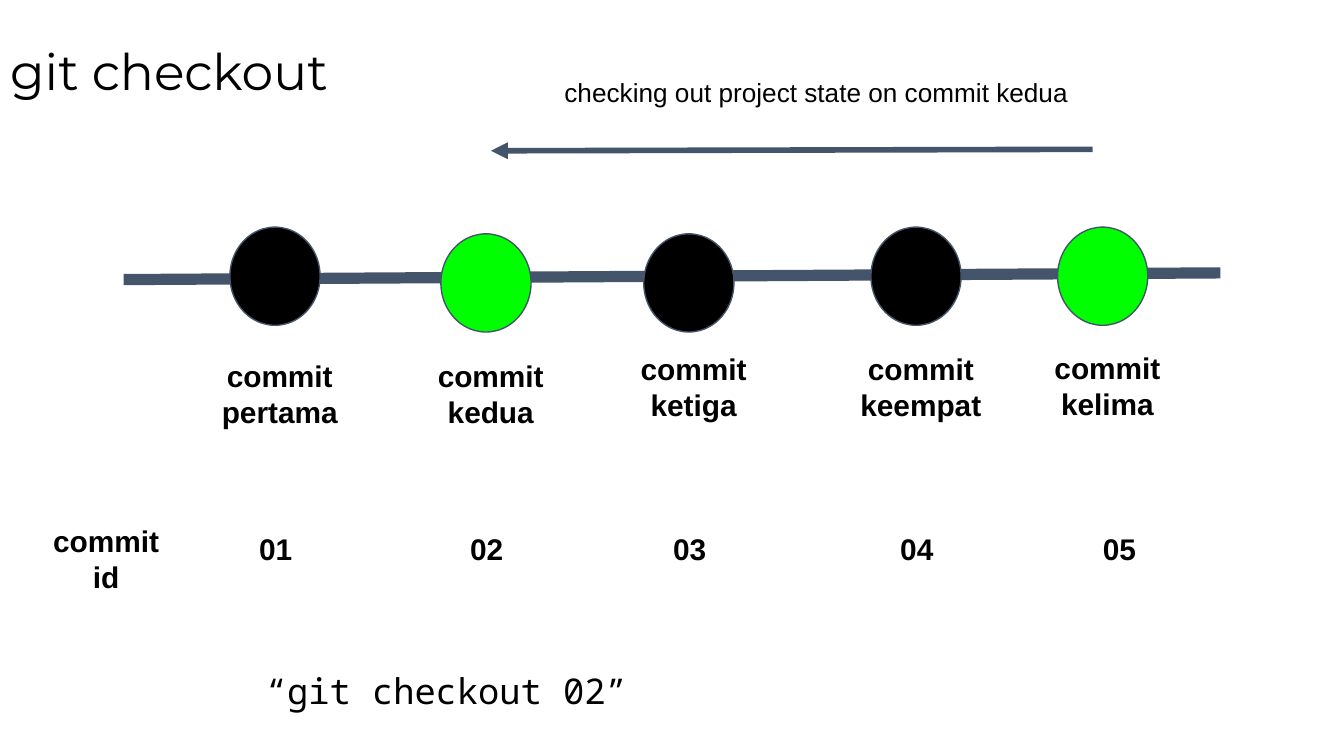
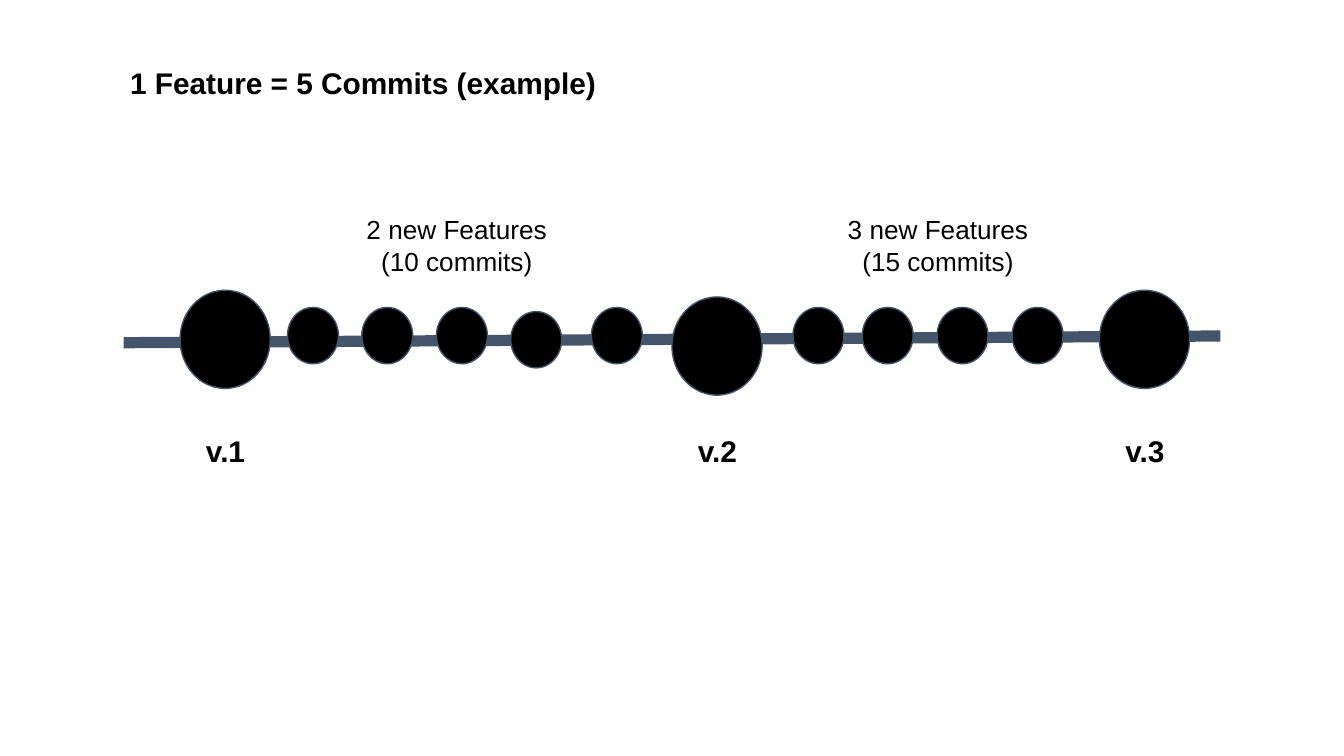
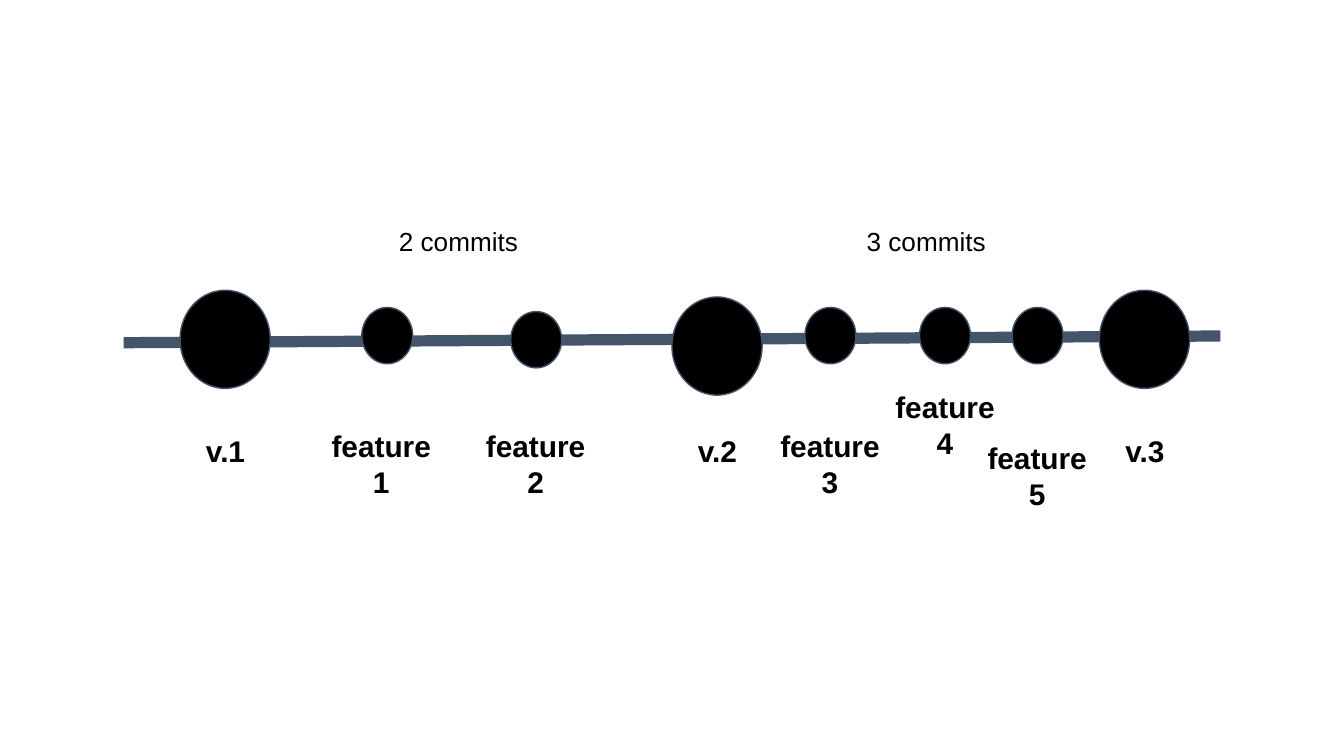
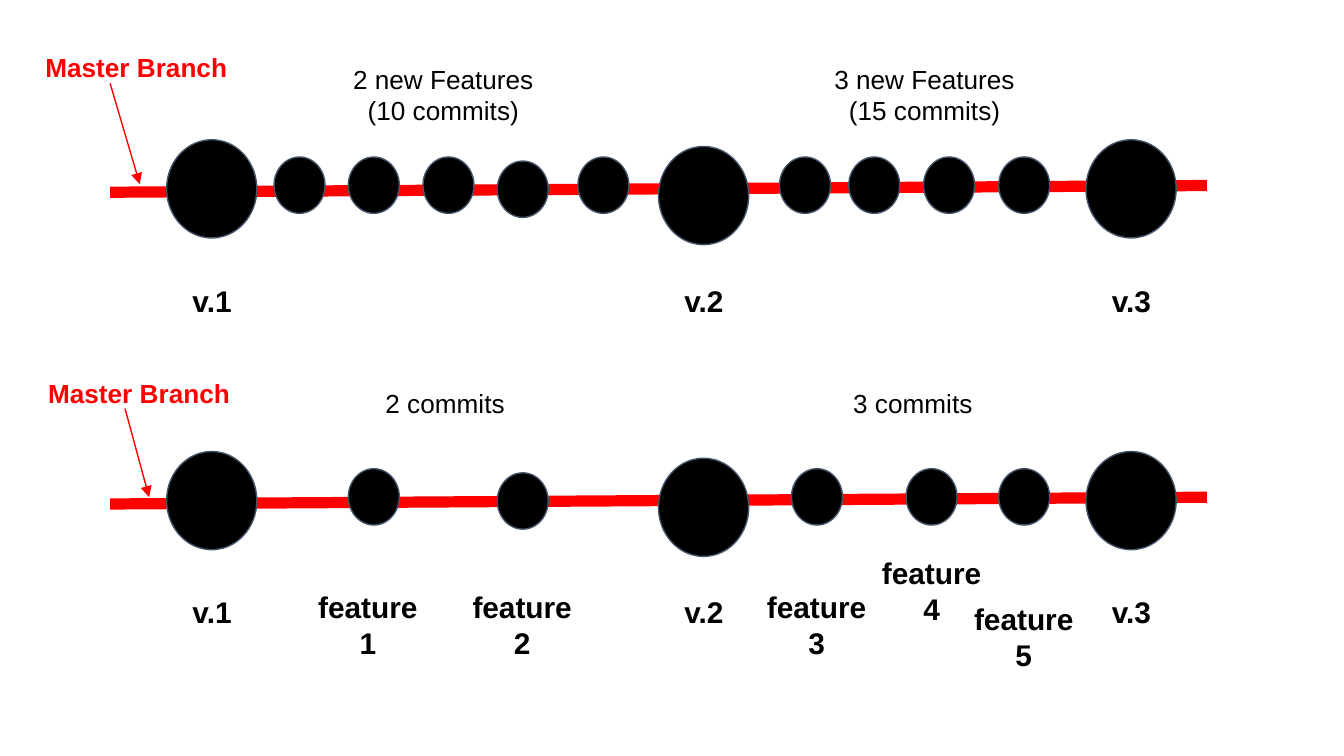
from lxml.etree import SubElement
from pptx import Presentation
from pptx.dml.color import RGBColor
from pptx.enum.shapes import MSO_CONNECTOR, MSO_SHAPE
from pptx.enum.text import MSO_ANCHOR, PP_ALIGN
from pptx.oxml.ns import qn
from pptx.util import Pt

THEME = {
    "ink": RGBColor(0, 0, 0),
    "slate": RGBColor(0x44, 0x54, 0x6A),
    "green": RGBColor(0, 0xFF, 0),
    "red": RGBColor(0xFF, 0, 0),
    "title": {"name": "Montserrat", "size": Pt(27)},
    "strong": {"name": "Arial", "size": Pt(16), "bold": True},
    "note": {"name": "Arial", "size": Pt(14)},
    "branch": {"name": "Arial", "size": Pt(14), "bold": True},
    "command": {"name": "Noto Sans Mono", "size": Pt(19)},
    "thin": 0.75,
    "arrow": 3,
    "track": 6,
    "big": (48.3, 52.6),
    "small": (27.3, 30.2),
}
INSETS = ("margin_left", "margin_top", "margin_right", "margin_bottom")


def add_text(slide, text, left, top, width, height, style="strong", color="ink",
             align=PP_ALIGN.CENTER, insets=(7.2, 7.2, 7.2, 7.2), **frame_format):
    box = slide.shapes.add_textbox(Pt(left), Pt(top), Pt(width), Pt(height))
    frame = box.text_frame
    frame_format = {"word_wrap": True, **dict(zip(INSETS, map(Pt, insets))), **frame_format}
    for key, value in frame_format.items():
        setattr(frame, key, value)
    frame.text = text
    for paragraph in frame.paragraphs:
        paragraph.alignment = align
        for key, value in THEME[style].items():
            setattr(paragraph.font, key, value)
        paragraph.font.color.rgb = THEME[color]
    return frame


def add_commit(slide, left, top, size="big", color="ink"):
    width, height = THEME[size]
    commit = slide.shapes.add_shape(MSO_SHAPE.OVAL, Pt(left), Pt(top), Pt(width), Pt(height))
    commit.shadow.inherit = False
    commit.fill.solid()
    commit.fill.fore_color.rgb = THEME[color]
    commit.line.color.rgb = THEME["slate"]
    commit.line.width = Pt(THEME["thin"])


deck = Presentation()
deck.slide_width, deck.slide_height = Pt(720), Pt(405)
checkout, commits, features, branches = [
    deck.slides.add_slide(deck.slide_layouts[6]) for _ in range(4)
]

LEFT_SHIFT, UP_SHIFT, DOWN_SHIFT = -7.2, -80.6, 86.4
commit_timelines = [(commits, 0, 0), (branches, LEFT_SHIFT, UP_SHIFT)]
feature_timelines = [(features, 0, 0, 201), (branches, LEFT_SHIFT, DOWN_SHIFT, 203.8)]

tracks = [(checkout, 66.2, 149.8, 653.8, 146.2, "slate", "track", False)]
for slide, dx, dy, *_ in commit_timelines + feature_timelines:
    color = "red" if slide is branches else "slate"
    tracks.append((slide, 66.2 + dx, 183.6 + dy, 653.8 + dx, 180 + dy, color, "track", False))
pointers = [
    (checkout, 585.4, 80, 263, 80.8, "slate", "arrow", True),
    (branches, 59, 44.7, 74.9, 98.7, "red", "thin", True),
    (branches, 67, 218.9, 79.9, 266.4, "red", "thin", True),
]
for slide, x1, y1, x2, y2, color, weight, pointed in tracks + pointers:
    connector = slide.shapes.add_connector(MSO_CONNECTOR.STRAIGHT, Pt(x1), Pt(y1), Pt(x2), Pt(y2))
    connector.line.color.rgb = THEME[color]
    connector.line.width = Pt(THEME[weight])
    if pointed:
        SubElement(connector.line._get_or_add_ln(), qn("a:tailEnd"), type="triangle")
    SubElement(connector._element.spPr, qn("a:effectLst"))

title = add_text(checkout, "git checkout", 0, 0.7, 620.6, 78.5, "title", align=PP_ALIGN.LEFT,
                 insets=(5.4, 2.7, 5.4, 2.7), vertical_anchor=MSO_ANCHOR.MIDDLE)
title.paragraphs[0].line_spacing = 0.9
add_text(checkout, "checking out project state on commit kedua", 285.1, 33.8, 304.6, 30.2, "note")

history = [
    ("pertama", "01", 123.2, 121.7, "ink", 184.3, 79.2, 3.6),
    ("kedua", "02", 236.2, 125.3, "green", 184.3, 79.2, 3.6),
    ("ketiga", "03", 344.9, 125.3, "ink", 180.7, 79.2, 3.6),
    ("keempat", "04", 466.6, 121.7, "ink", 180.7, 90, 3.6),
    ("kelima", "05", 566.6, 121.7, "green", 180, 79.2, 12.2),
]
for ordinal, commit_id, left, top, color, name_top, name_width, id_offset in history:
    add_commit(checkout, left, top, color=color)
    add_text(checkout, f"commit {ordinal}", left + 26.7 - name_width / 2, name_top, name_width, 30.2)
    add_text(checkout, commit_id, left + id_offset, 277.2, 41.8, 30.2)
add_text(checkout, "commit id", 18.7, 272.9, 76.3, 30.2)
add_text(checkout, "“git checkout 02”", 135.4, 351.4, 577.4, 52, "command", align=PP_ALIGN.LEFT)

add_text(commits, "1 Feature = 5 Commits (example)", 62.6, 31, 267.8, 26.6,
         align=PP_ALIGN.LEFT, insets=(7.2, 3.6, 7.2, 3.6), word_wrap=False)

versions = [("v.1", 96.5, 155.5), ("v.2", 360, 159.1), ("v.3", 589, 155.5)]
for slide, dx, dy, *_ in commit_timelines + feature_timelines:
    for version, left, top in versions:
        add_commit(slide, left + dx, top + dy)
        add_text(slide, version, left - 9.5 + dx, 224.6 + dy, 67.7, 30.2)

SMALL_TOP, LOW_TOP = 164.7, 166.9
small_commits = [
    (154, SMALL_TOP), (193.8, SMALL_TOP), (233.8, SMALL_TOP), (273.6, LOW_TOP),
    (316.8, SMALL_TOP), (424.8, SMALL_TOP), (461.9, SMALL_TOP), (502, SMALL_TOP), (542.2, SMALL_TOP),
]
commit_notes = [
    ("2 new Features\n(10 commits)", 181.4, 126.7),
    ("3 new Features\n(15 commits)", 446.4, 112.3),
]
for slide, dx, dy in commit_timelines:
    for left, top in small_commits:
        add_commit(slide, left + dx, top + dy, "small")
    for note, left, width in commit_notes:
        add_text(slide, note, left + dx, 107.3 + dy, width, 36, "note")

feature_notes = [("2 commits", 206.6, 101.5), ("3 commits", 457.2, 112.3)]
for slide, dx, dy, fourth_top in feature_timelines:
    feature_commits = [
        (193.8, SMALL_TOP, 161.4, 221.8),
        (273.6, LOW_TOP, 244.1, 221.8),
        (431.2, SMALL_TOP, 401.8, 221.8),
        (492.6, SMALL_TOP, 463.4, fourth_top),
        (542.2, SMALL_TOP, 512.8, 228.4),
    ]
    for number, (left, top, name_left, name_top) in enumerate(feature_commits, 1):
        add_commit(slide, left + dx, top + dy, "small")
        add_text(slide, f"feature\v{number}", name_left + dx, name_top + dy, 85.7, 36)
    for note, left, width in feature_notes:
        add_text(slide, note, left + dx, 113.8 + dy, width, 36, "note", align=PP_ALIGN.LEFT)

for left, top in [(8.6, 20.2), (10.1, 195.1)]:
    add_text(branches, "Master Branch", left, top, 128.9, 30.2, "branch", "red")

deck.save("out.pptx")
